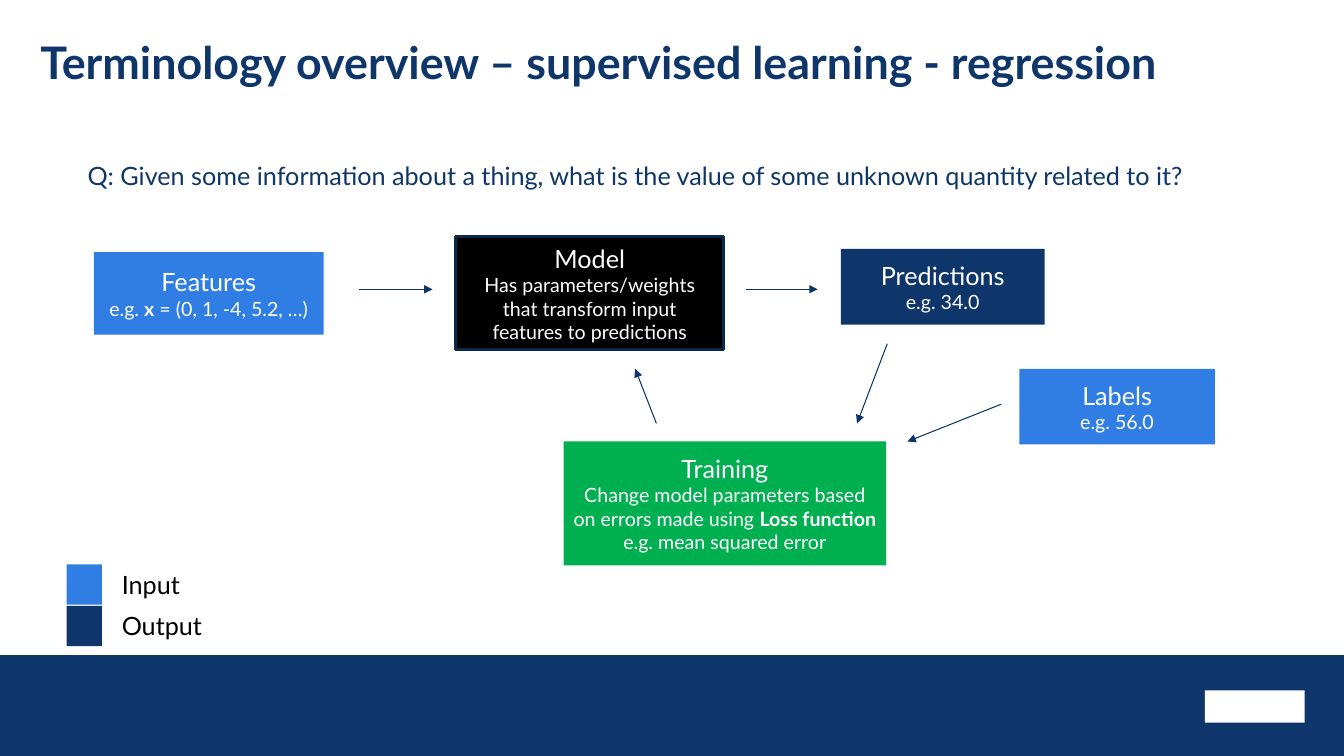
from lxml import etree
from pptx import Presentation
from pptx.dml.color import RGBColor
from pptx.enum import shapes, text
from pptx.oxml.ns import qn
from pptx.util import Inches, Pt

NAVY = RGBColor(0x0E, 0x36, 0x6A)
ARROW_NAVY = RGBColor(0x0B, 0x35, 0x6A)
EDGE_NAVY = RGBColor(0x0A, 0x28, 0x4E)
BLUE = RGBColor(0x30, 0x7E, 0xE4)
GREEN = RGBColor(0x00, 0xB0, 0x50)
BLACK = RGBColor(0, 0, 0)
WHITE = RGBColor(255, 255, 255)

deck = Presentation()
deck.slide_width, deck.slide_height = Inches(13.33), Inches(7.5)
slide = deck.slides.add_slide(deck.slide_layouts[6])


def add_block(left, top, width, height, fill):
    block = slide.shapes.add_shape(
        shapes.MSO_SHAPE.RECTANGLE,
        Inches(left), Inches(top), Inches(width), Inches(height))
    block.shadow.inherit = False
    block.fill.solid()
    block.fill.fore_color.rgb = fill
    block.line.fill.background()
    return block


def add_label(left, top, width, height, words, size, color):
    label = slide.shapes.add_textbox(
        Inches(left), Inches(top), Inches(width), Inches(height))
    label.text_frame.word_wrap = True
    line = label.text_frame.paragraphs[0]
    line.text = words
    line.font.name, line.font.size = "Lato", Pt(size)
    line.font.color.rgb = color
    return label


# Footer band with a plain mark
add_block(0, 6.5, 13.33, 1, NAVY)
add_block(11.95, 6.85, 0.99, 0.32, WHITE)

# Title and question
title = add_label(0.4, 0.3, 12.53, 0.6,
                  "Terminology overview – supervised learning - regression", 32, NAVY)
title.text_frame.margin_left = title.text_frame.margin_right = 0
title.text_frame.paragraphs[0].font.bold = True
add_label(0.77, 1.54, 11.14, 0.4,
          "Q: Given some information about a thing, what is the value of some "
          "unknown quantity related to it?", 18, NAVY)

# Stages: place, fill, heading, then detail lines as (words, bold) runs
stages = [
    ((4.52, 2.35, 2.66, 1.12), BLACK, "Model",
     [[("Has parameters/weights that transform input features to predictions", False)]]),
    ((0.93, 2.5, 2.28, 0.82), BLUE, "Features",
     [[("e.g. ", False), ("x", True), (" = (0, 1, -4, 5.2, …)", False)]]),
    ((10.11, 3.66, 1.94, 0.75), BLUE, "Labels", [[("e.g. 56.0", False)]]),
    ((8.34, 2.47, 2.02, 0.75), NAVY, "Predictions", [[("e.g. 34.0", False)]]),
    ((5.59, 4.38, 3.2, 1.23), GREEN, "Training",
     [[("Change model parameters based on errors made using ", False),
       ("Loss function", True)],
      [("e.g. mean squared error", False)]]),
]
for place, fill, heading, details in stages:
    stage = add_block(*place, fill)
    if heading == "Model":
        stage.line.color.rgb = EDGE_NAVY
        stage.line.width = Pt(2)
    frame = stage.text_frame
    frame.word_wrap = True
    frame.vertical_anchor = text.MSO_ANCHOR.MIDDLE
    for row, runs in enumerate([[(heading, False)]] + details):
        line = frame.add_paragraph() if row else frame.paragraphs[0]
        line.alignment = text.PP_ALIGN.CENTER
        line.font.name = "Lato"
        line.font.size = Pt(14 if row else 18)
        line.font.color.rgb = WHITE
        for words, bold in runs:
            run = line.add_run()
            run.text = words
            if bold:
                run.font.bold = True

# Flow arrows: start x, start y, end x, end y
flows = [
    (3.56, 2.87, 4.29, 2.87),
    (7.4, 2.87, 8.11, 2.87),
    (9.93, 4.01, 9, 4.38),
    (8.8, 3.41, 8.5, 4.2),
    (6.51, 4.2, 6.3, 3.66),
]
for flow in flows:
    arrow = slide.shapes.add_connector(
        shapes.MSO_CONNECTOR.STRAIGHT, *[Inches(value) for value in flow])
    arrow.line.color.rgb = ARROW_NAVY
    arrow.line.width = Pt(0.75)
    etree.SubElement(arrow.line._get_or_add_ln(), qn("a:tailEnd"), type="triangle")
    etree.SubElement(arrow._element.spPr, qn("a:effectLst"))

# Legend
for row, (meaning, fill) in enumerate([("Input", BLUE), ("Output", NAVY)]):
    top = 5.6 + 0.41 * row
    add_block(0.66, top, 0.35, 0.4, fill)
    add_label(1.11, top, 1.14, 0.4, meaning, 18, BLACK)

deck.save("out.pptx")
